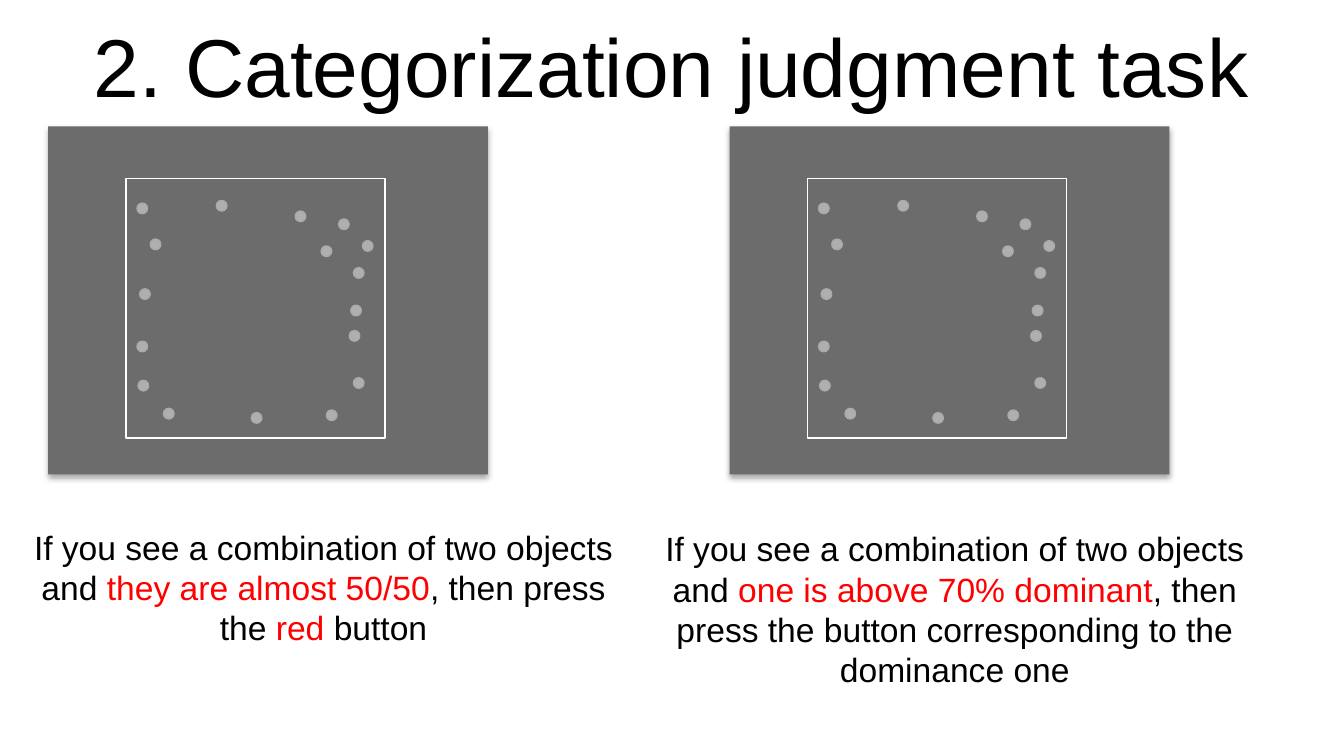
from typing import NamedTuple

from lxml import etree
from pptx import Presentation
from pptx import util as u
from pptx.dml.color import RGBColor
from pptx.enum import shapes, text
from pptx.oxml import ns

COLORS = {
    "black": "000000",
    "red": "FF0000",
    "white": "FFFFFF",
    "panel": "6C6C6C",
    "dot": "AFAFAF",
    "dot_edge": "AAAAAA",
}
PANEL_TOP, PANEL_WIDTH, PANEL_HEIGHT = 2.39, 8.31, 6.58
FRAME_X, FRAME_Y, FRAME_SIZE = 1.47, 0.99, 4.9
DOT_SIZE = 0.2
SHADOW = {"blurRad": "40000", "dist": "23000", "dir": "5400000", "rotWithShape": "0"}


class Dot(NamedTuple):
    x: float
    y: float


class Run(NamedTuple):
    words: str
    color: str = "black"


class Caption(NamedTuple):
    left: float
    top: float
    width: float
    height: float
    size: int
    runs: list[Run]
    anchor: text.MSO_ANCHOR = text.MSO_ANCHOR.TOP
    auto_size: text.MSO_AUTO_SIZE = text.MSO_AUTO_SIZE.SHAPE_TO_FIT_TEXT


DOTS = [
    Dot(1.68, 1.45), Dot(4.67, 1.6), Dot(1.93, 2.13), Dot(1.73, 3.07),
    Dot(3.18, 1.4), Dot(1.7, 4.8), Dot(1.68, 4.06), Dot(3.84, 5.41),
    Dot(5.26, 5.36), Dot(5.49, 1.75), Dot(5.69, 3.86), Dot(5.77, 2.67),
    Dot(5.77, 4.75), Dot(2.18, 5.33), Dot(5.16, 2.26), Dot(5.94, 2.16),
    Dot(5.72, 3.38),
]
PANEL_LEFTS = [0.91, 13.79]
CAPTIONS = [
    Caption(0, 0, 25.4, 2.44, 44, [Run("2. Categorization judgment task")],
            text.MSO_ANCHOR.MIDDLE, text.MSO_AUTO_SIZE.NONE),
    Caption(0.36, 9.83, 11.51, 2.57, 18, [
        Run("If you see a combination of two objects and "),
        Run("they are almost 50/50", "red"),
        Run(", then press the "),
        Run("red", "red"),
        Run(" button"),
    ]),
    Caption(12.29, 9.86, 11.51, 3.33, 18, [
        Run("If you see a combination of two objects and "),
        Run("one is above 70% dominant", "red"),
        Run(", then press the button corresponding to the dominance one"),
    ]),
]


def rgb(name: str) -> RGBColor:
    return RGBColor.from_string(COLORS[name])


def add_shape(group, kind, left: float, top: float, width: float, height: float,
              fill: str | None = None, line: str | None = None):
    shape = group.shapes.add_shape(kind, u.Cm(left), u.Cm(top), u.Cm(width), u.Cm(height))
    shape.shadow.inherit = False
    if fill:
        shape.fill.solid()
        shape.fill.fore_color.rgb = rgb(fill)
    else:
        shape.fill.background()
    if line:
        shape.line.color.rgb = rgb(line)
        shape.line.width = u.Pt(0.75)
    else:
        shape.line.fill.background()
    return shape


def add_shadow(shape) -> None:
    effects = shape._element.spPr.find(ns.qn("a:effectLst"))
    shadow = etree.SubElement(effects, ns.qn("a:outerShdw"), SHADOW)
    color = etree.SubElement(shadow, ns.qn("a:srgbClr"), val=COLORS["black"])
    etree.SubElement(color, ns.qn("a:alpha"), val="35000")


def add_panel(slide, left: float) -> None:
    group = slide.shapes.add_group_shape()
    rectangle, oval = shapes.MSO_SHAPE.RECTANGLE, shapes.MSO_SHAPE.OVAL
    panel = add_shape(group, rectangle, left, PANEL_TOP, PANEL_WIDTH, PANEL_HEIGHT, fill="panel")
    add_shadow(panel)
    add_shape(group, rectangle, left + FRAME_X, PANEL_TOP + FRAME_Y,
              FRAME_SIZE, FRAME_SIZE, line="white")
    for dot in DOTS:
        add_shape(group, oval, left + dot.x, PANEL_TOP + dot.y,
                  DOT_SIZE, DOT_SIZE, "dot", "dot_edge")


def add_caption(slide, caption: Caption) -> None:
    box = slide.shapes.add_textbox(u.Cm(caption.left), u.Cm(caption.top),
                                   u.Cm(caption.width), u.Cm(caption.height))
    frame_format = {
        "word_wrap": True,
        "auto_size": caption.auto_size,
        "vertical_anchor": caption.anchor,
    }
    for name, value in frame_format.items():
        setattr(box.text_frame, name, value)
    paragraph = box.text_frame.paragraphs[0]
    paragraph.alignment = text.PP_ALIGN.CENTER
    for part in caption.runs:
        run = paragraph.add_run()
        run.text = part.words
        for name, value in {"name": "Arial", "size": u.Pt(caption.size)}.items():
            setattr(run.font, name, value)
        run.font.color.rgb = rgb(part.color)


def main() -> None:
    presentation = Presentation()
    presentation.slide_width = u.Cm(25.4)
    presentation.slide_height = u.Cm(14.29)
    slide = presentation.slides.add_slide(presentation.slide_layouts[6])
    for left in PANEL_LEFTS:
        add_panel(slide, left)
    for caption in CAPTIONS:
        add_caption(slide, caption)
    presentation.save("out.pptx")


if __name__ == "__main__":
    main()
